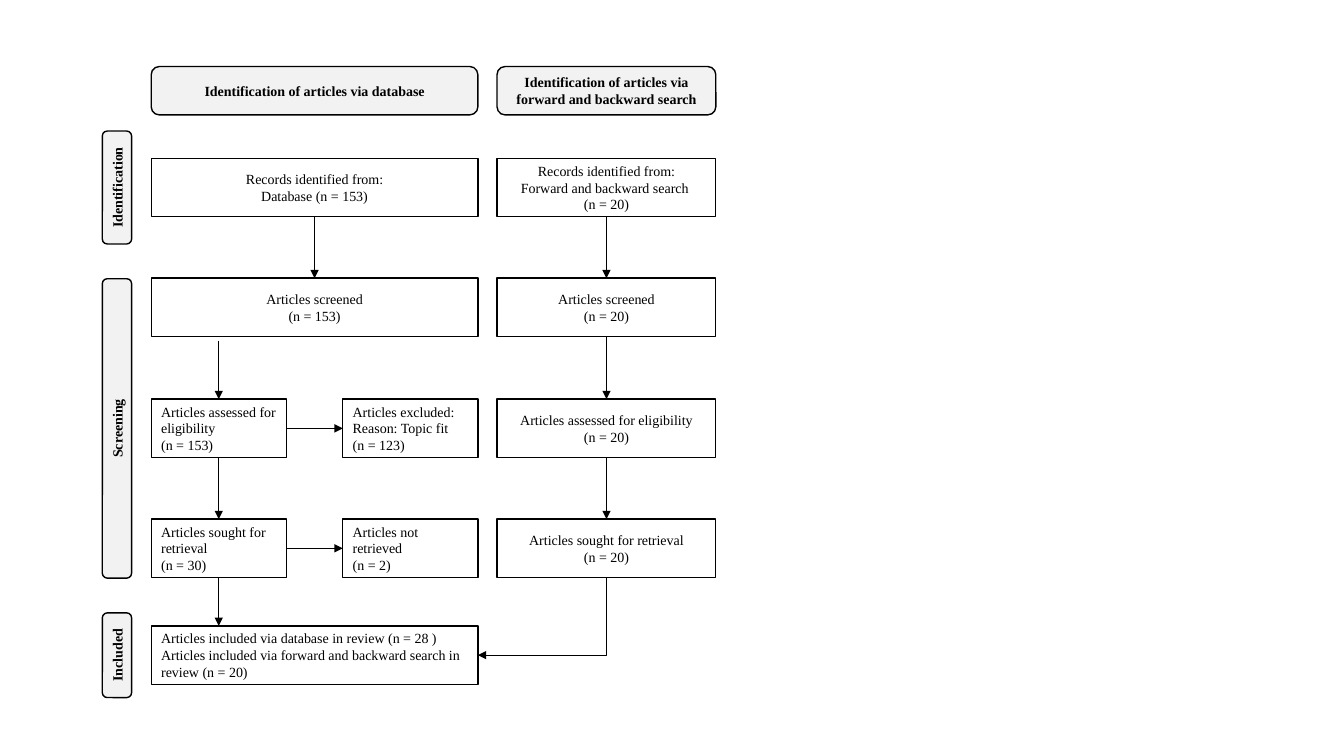
from lxml import etree
from pptx import Presentation
from pptx.dml.color import RGBColor
from pptx.enum.shapes import MSO_CONNECTOR, MSO_SHAPE
from pptx.enum.text import MSO_ANCHOR, PP_ALIGN
from pptx.oxml.ns import qn
from pptx.util import Inches, Pt

THEME = {
    "font": "Times New Roman",
    "size": Pt(10),
    "ink": RGBColor(0x00, 0x00, 0x00),
    "heading_fill": RGBColor(0xF2, 0xF2, 0xF2),
    "outline": Pt(1),
    "arrow": Pt(0.5),
}

# Column: left, width
COLUMNS = {
    "database": (1.5, 3.24),
    "kept": (1.5, 1.34),
    "dropped": (3.4, 1.34),
    "search": (4.93, 2.17),
}
# Row: top
ROWS = {"identified": 1.57, "screened": 2.76, "assessed": 3.96,
        "sought": 5.15, "included": 6.21}
BOX_HEIGHT = 0.58
HEADING_TOP, HEADING_HEIGHT = 0.66, 0.48
STAGE_CENTER, STAGE_THICKNESS = 1.16, 0.29

HEADINGS = {
    "database": "Identification of articles via database",
    "search": "Identification of articles via forward and backward search",
}
# Stage name, middle, length
STAGES = [
    ("Identification", 1.86, 1.12),
    ("Screening", 4.25, 2.97),
    ("Included", 6.5, 0.84),
]
CENTER, LEFT = PP_ALIGN.CENTER, PP_ALIGN.LEFT
BOXES = [
    ("database", "identified", CENTER, ["Records identified from:", "Database (n = 153)"]),
    ("database", "screened", CENTER, ["Articles screened", "(n = 153)"]),
    ("kept", "assessed", LEFT, ["Articles assessed for eligibility", "(n = 153)"]),
    ("dropped", "assessed", LEFT,
     ["Articles excluded:", "Reason: Topic fit", "(n = 123)"]),
    ("kept", "sought", LEFT, ["Articles sought for retrieval", "(n = 30)"]),
    ("dropped", "sought", LEFT, ["Articles not retrieved", "(n = 2)"]),
    ("database", "included", LEFT,
     ["Articles included via database in review (n = 28 )",
      "Articles included via forward and backward search in review (n = 20)"]),
    ("search", "identified", CENTER,
     ["Records identified from:", "Forward and backward search ", "(n = 20)"]),
    ("search", "screened", CENTER, ["Articles screened", "(n = 20)"]),
    ("search", "assessed", CENTER, ["Articles assessed for eligibility", "(n = 20)"]),
    ("search", "sought", CENTER, ["Articles sought for retrieval", "(n = 20)"]),
]
DOWN_LINKS = [
    ("database", "identified", "screened"),
    ("kept", "assessed", "sought"),
    ("search", "identified", "screened"),
    ("search", "screened", "assessed"),
    ("search", "assessed", "sought"),
]
ACROSS_ROWS = ["assessed", "sought"]
SITE_TOP, SITE_LEFT, SITE_BOTTOM, SITE_RIGHT = range(4)


def add_box(page, kind, frame, lines, align, heading=False):
    box = page.shapes.add_shape(kind, *(Inches(length) for length in frame))
    box.shadow.inherit = False
    box.line.color.rgb = THEME["ink"]
    box.line.width = THEME["outline"]
    if heading:
        box.fill.solid()
        box.fill.fore_color.rgb = THEME["heading_fill"]
    else:
        box.fill.background()
    text = box.text_frame
    text.word_wrap = True
    text.vertical_anchor = MSO_ANCHOR.MIDDLE
    text.text = "\n".join(lines)
    for para in text.paragraphs:
        para.alignment = align
        para.font.name = THEME["font"]
        para.font.size = THEME["size"]
        para.font.bold = heading
        para.font.color.rgb = THEME["ink"]
    return box


def add_arrow(page, start=(0, 0), end=(0, 0), kind=MSO_CONNECTOR.STRAIGHT):
    arrow = page.shapes.add_connector(
        kind, *(Inches(length) for length in (*start, *end)))
    arrow.line.color.rgb = THEME["ink"]
    arrow.line.width = THEME["arrow"]
    head = etree.SubElement(arrow.line._get_or_add_ln(), qn("a:tailEnd"))
    head.set("type", "triangle")
    etree.SubElement(arrow._element.spPr, qn("a:effectLst"))
    return arrow


def link(page, source, source_site, target, target_site):
    arrow = add_arrow(page)
    arrow.begin_connect(source, source_site)
    arrow.end_connect(target, target_site)


def add_corner_arrow(page, source, target):
    """Run down from the source's bottom, then left to the target's right side."""
    arrow = add_arrow(page, kind=MSO_CONNECTOR.ELBOW)
    arrow.begin_connect(source, SITE_BOTTOM)
    arrow.end_connect(target, SITE_RIGHT)
    start_x, start_y = source.left + source.width // 2, source.top + source.height
    end_x, end_y = target.left + target.width, target.top + target.height // 2
    across, down = start_x - end_x, end_y - start_y
    properties = arrow._element.spPr
    properties.find(qn("a:prstGeom")).set("prst", "bentConnector2")
    transform = properties.find(qn("a:xfrm"))
    for flip in ("flipH", "flipV"):
        transform.attrib.pop(flip, None)
    transform.set("rot", str(90 * 60000))
    # A quarter turn swaps width and height around the same centre.
    arrow.width, arrow.height = down, across
    arrow.left = (start_x + end_x - down) // 2
    arrow.top = (start_y + end_y - across) // 2


def main():
    deck = Presentation()
    deck.slide_width, deck.slide_height = Inches(13.33), Inches(7.5)
    page = deck.slides.add_slide(deck.slide_layouts[6])
    rounded = MSO_SHAPE.FLOWCHART_ALTERNATE_PROCESS

    for column, title in HEADINGS.items():
        left, width = COLUMNS[column]
        add_box(page, rounded, (left, HEADING_TOP, width, HEADING_HEIGHT),
                [title], CENTER, heading=True)

    for name, middle, length in STAGES:
        frame = (STAGE_CENTER - length / 2, middle - STAGE_THICKNESS / 2,
                 length, STAGE_THICKNESS)
        stage = add_box(page, rounded, frame, [name], CENTER, heading=True)
        stage.rotation = 270

    boxes = {}
    for column, row, align, lines in BOXES:
        left, width = COLUMNS[column]
        boxes[column, row] = add_box(
            page, MSO_SHAPE.RECTANGLE, (left, ROWS[row], width, BOX_HEIGHT), lines, align)

    for column, upper, lower in DOWN_LINKS:
        link(page, boxes[column, upper], SITE_BOTTOM, boxes[column, lower], SITE_TOP)
    for row in ACROSS_ROWS:
        link(page, boxes["kept", row], SITE_RIGHT, boxes["dropped", row], SITE_LEFT)

    kept_left, kept_width = COLUMNS["kept"]
    kept_center = kept_left + kept_width / 2
    into_kept = add_arrow(page, (kept_center, 3.38), (kept_center, ROWS["assessed"]))
    into_kept.end_connect(boxes["kept", "assessed"], SITE_TOP)
    out_of_kept = add_arrow(page, (kept_center, ROWS["sought"] + BOX_HEIGHT),
                            (kept_center, ROWS["included"]))
    out_of_kept.begin_connect(boxes["kept", "sought"], SITE_BOTTOM)
    add_corner_arrow(page, boxes["search", "sought"], boxes["database", "included"])

    deck.save("out.pptx")


if __name__ == "__main__":
    main()
